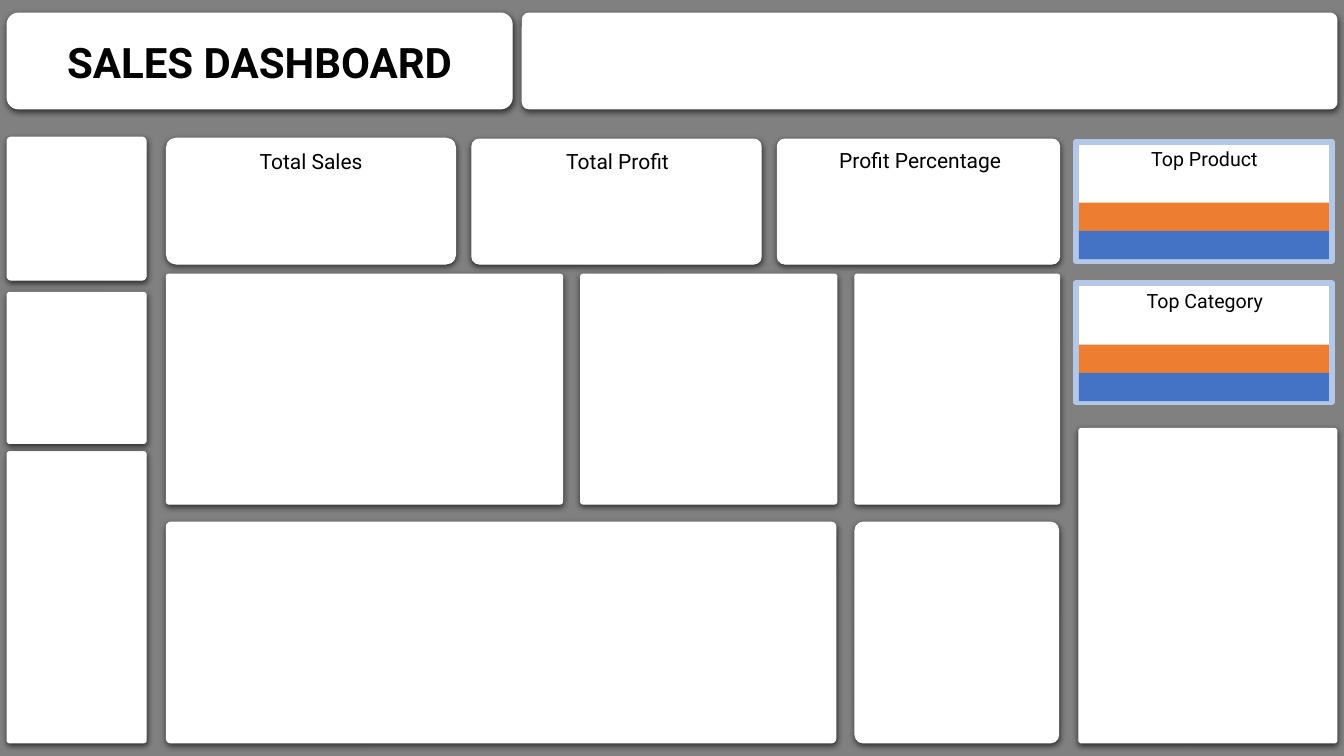
"""Build the sales dashboard layout slide."""
from lxml.etree import SubElement
from pptx import Presentation
from pptx.dml.color import RGBColor
from pptx.enum.shapes import MSO_SHAPE
from pptx.enum.text import MSO_ANCHOR, PP_ALIGN
from pptx.oxml.ns import qn
from pptx.util import Inches, Pt

COLORS = {
    "backdrop": "808080",
    "card": "FFFFFF",
    "text": "000000",
    "frame": "B4C7E7",
    "blue": "4472C4",
    "orange": "ED7D31",
}


def add_block(shapes, kind, place, fill, line=None, width=0):
    """Add a filled shape with an optional outline and no shadow."""
    block = shapes.add_shape(kind, *map(Inches, place))
    block.shadow.inherit = False
    block.fill.solid()
    block.fill.fore_color.rgb = RGBColor.from_string(COLORS[fill])
    if line:
        block.line.color.rgb = RGBColor.from_string(COLORS[line])
        block.line.width = Pt(width)
    else:
        block.line.fill.background()
    return block


def add_label(page, text, place, font, frame):
    """Add a centred line of text."""
    box = page.shapes.add_textbox(*map(Inches, place))
    for name, value in frame.items():
        setattr(box.text_frame, name, value)
    para = box.text_frame.paragraphs[0]
    para.alignment = PP_ALIGN.CENTER
    span = para.add_run()
    span.text = text
    for name, value in font.items():
        setattr(span.font, name, value)
    span.font.color.rgb = RGBColor.from_string(COLORS["text"])


deck = Presentation()
deck.slide_width, deck.slide_height = Inches(13.33), Inches(7.5)
page = deck.slides.add_slide(deck.slide_layouts[6])
add_block(page.shapes, MSO_SHAPE.RECTANGLE, (0, 0, 13.33, 7.5), "backdrop")

cards = [
    ((5.18, 0.13, 8.08, 0.95), 0.07),
    ((0.07, 4.48, 1.38, 2.89), 0.02),
    ((0.07, 2.9, 1.38, 1.5), 0.02),
    ((0.07, 0.13, 5.01, 0.95), 0.12),
    ((1.65, 1.37, 2.87, 1.25), 0.08),
    ((4.68, 1.38, 2.87, 1.24), 0.06),
    ((7.71, 1.38, 2.8, 1.24), 0.06),
    ((1.65, 2.72, 3.93, 2.28), 0.01),
    ((5.76, 2.72, 2.54, 2.28), 0.01),
    ((8.48, 2.72, 2.03, 2.28), 0.01),
    ((1.65, 5.18, 6.64, 2.19), 0.02),
    ((8.48, 5.18, 2.02, 2.19), 0.04),
    ((10.7, 4.25, 2.56, 3.12), 0.01),
    ((0.07, 1.36, 1.38, 1.42), 0.03),
]
for place, rounding in cards:
    card = add_block(page.shapes, MSO_SHAPE.ROUNDED_RECTANGLE, place, "card", "card", 0.75)
    card.adjustments[0] = rounding
    effects = card._element.spPr.find(qn("a:effectLst"))
    shadow = SubElement(effects, qn("a:outerShdw"), blurRad=str(Pt(4.5)),
                        dist=str(Pt(1.5)), dir="5400000", algn="ctr", rotWithShape="0")
    tint = SubElement(shadow, qn("a:srgbClr"), val=COLORS["text"])
    SubElement(tint, qn("a:alpha"), val="63000")

title_font = {"name": "Roboto", "size": Pt(30), "bold": True}
title_frame = {"word_wrap": True, "vertical_anchor": MSO_ANCHOR.MIDDLE}
add_label(page, "SALES DASHBOARD", (0.07, 0.28, 5.01, 0.66), title_font, title_frame)

label_frame = {
    "word_wrap": True,
    "vertical_anchor": MSO_ANCHOR.TOP,
    "margin_left": Inches(0.12),
    "margin_right": Inches(0.1),
    "margin_top": Inches(0.05),
    "margin_bottom": Inches(0.05),
}
metric_font = {"name": "Roboto", "size": Pt(15)}
metrics = [
    ("Total Sales", (1.64, 1.42, 2.87, 0.42)),
    ("Total Profit", (4.68, 1.42, 2.87, 0.42)),
    ("Profit Percentage", (7.72, 1.41, 2.79, 0.42)),
]
for text, place in metrics:
    add_label(page, text, place, metric_font, label_frame)

leader_font = {"name": "Roboto", "size": Pt(14)}
leaders = [
    ("Top Product", 1.41, (10.7, 1.41, 2.47, 0.28), 2.01),
    ("Top Category", 2.81, (10.71, 2.82, 2.46, 0.29), 3.42),
]
bar_height = 0.28
for text, top, place, bar_top in leaders:
    add_block(page.shapes, MSO_SHAPE.RECTANGLE, (10.67, top, 2.54, 1.18), "card", "frame", 4)
    add_label(page, text, place, leader_font, label_frame)
    bars = page.shapes.add_group_shape()
    for row, color in enumerate(("orange", "blue")):
        bar_place = (10.7, bar_top + row * bar_height, 2.48, bar_height)
        add_block(bars.shapes, MSO_SHAPE.RECTANGLE, bar_place, color)

deck.save("out.pptx")
